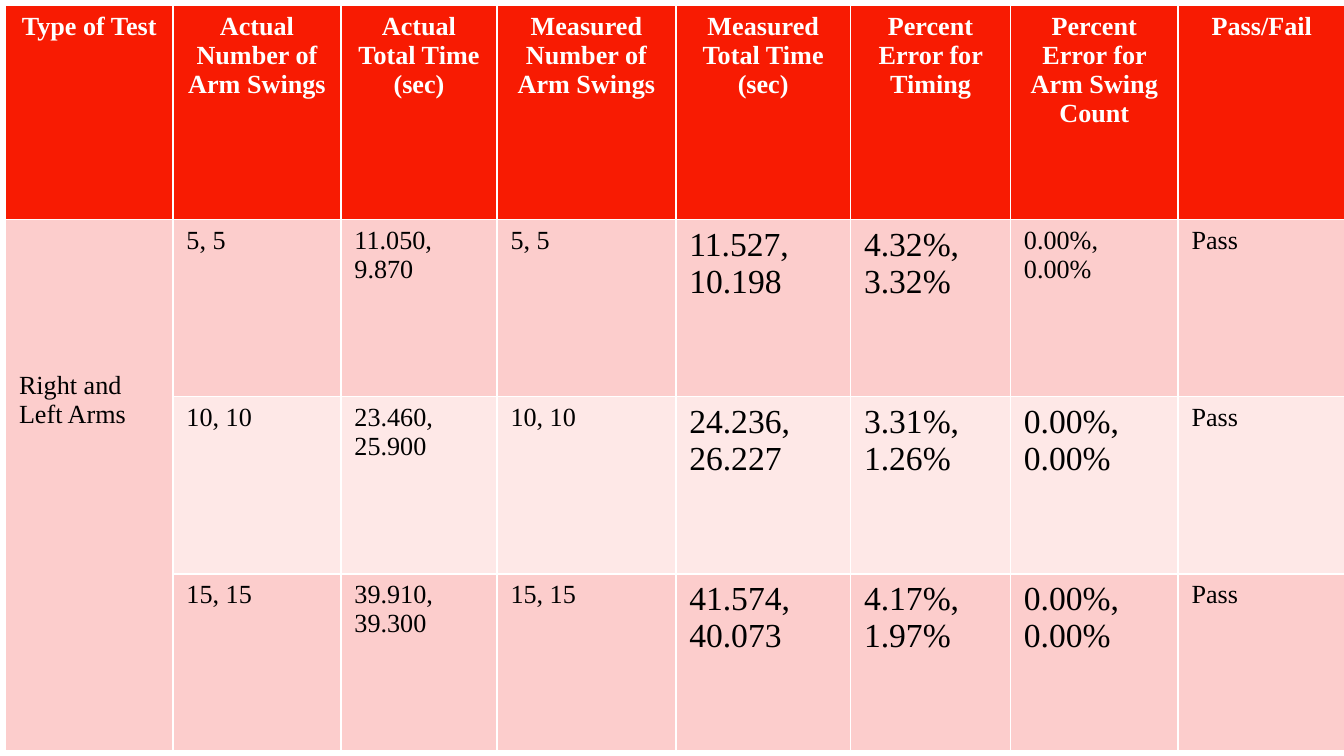
import pptx
import pptx.util
import pptx.dml.color
import pptx.enum.text

Pt = pptx.util.Pt
RGBColor = pptx.dml.color.RGBColor

RED = RGBColor(0xF8, 0x1B, 0x02)
PINK = RGBColor(0xFC, 0xCD, 0xCC)
PALE_PINK = RGBColor(0xFE, 0xE8, 0xE7)
WHITE = RGBColor(0xFF, 0xFF, 0xFF)
BLACK = RGBColor(0, 0, 0)

HEADINGS = [
    "Type of Test", "Actual Number of Arm Swings", "Actual Total Time (sec)",
    "Measured Number of Arm Swings", "Measured Total Time (sec)",
    "Percent Error for Timing", "Percent Error for Arm Swing Count", "Pass/Fail",
]
TESTS = [
    ["Right and Left Arms", "5, 5", "11.050, 9.870", "5, 5",
     "11.527, 10.198", "4.32%, 3.32%", "0.00%, 0.00%", "Pass"],
    ["", "10, 10", "23.460, 25.900", "10, 10",
     "24.236, 26.227", "3.31%, 1.26%", "0.00%, 0.00%", "Pass"],
    ["", "15, 15", "39.910, 39.300", "15, 15",
     "41.574, 40.073", "4.17%, 1.97%", "0.00%, 0.00%", "Pass"],
]
COLUMN_WIDTHS = [89.7, 90, 83.6, 95.8, 93.6, 85.7, 89.8, 89.8]
HEADING_HEIGHT = 114.5
TEST_HEIGHT = 95
LARGE_COLUMNS = {4, 5, 6}
SMALL_CELL = (1, 6)
ARMS_TOP_MARGIN = 81.3


def fill_cell(cell, text, fill, color, size, heading):
    cell.fill.solid()
    cell.fill.fore_color.rgb = fill
    cell.text = text
    paragraph = cell.text_frame.paragraphs[0]
    if heading:
        paragraph.alignment = pptx.enum.text.PP_ALIGN.CENTER
    paragraph.font.name = "Times New Roman"
    paragraph.font.size = Pt(size)
    paragraph.font.bold = heading
    paragraph.font.color.rgb = color


presentation = pptx.Presentation()
presentation.slide_width = Pt(720)
presentation.slide_height = Pt(405)
slide = presentation.slides.add_slide(presentation.slide_layouts[6])

row_heights = [HEADING_HEIGHT] + [TEST_HEIGHT] * len(TESTS)
results = slide.shapes.add_table(
    len(row_heights), len(HEADINGS), Pt(3), Pt(3),
    Pt(sum(COLUMN_WIDTHS)), Pt(sum(row_heights)),
).table
for column, width in zip(results.columns, COLUMN_WIDTHS):
    column.width = Pt(width)
for row, height in zip(results.rows, row_heights):
    row.height = Pt(height)

for r, texts in enumerate([HEADINGS] + TESTS):
    heading = r == 0
    for c, text in enumerate(texts):
        if heading:
            fill = RED
        else:
            fill = PALE_PINK if r == 2 and c > 0 else PINK
        large = not heading and c in LARGE_COLUMNS and (r, c) != SMALL_CELL
        fill_cell(results.cell(r, c), text, fill, WHITE if heading else BLACK,
                  18 if large else 14, heading)

arms = results.cell(1, 0)
arms.merge(results.cell(len(TESTS), 0))
arms.margin_top = Pt(ARMS_TOP_MARGIN)

presentation.save("out.pptx")
